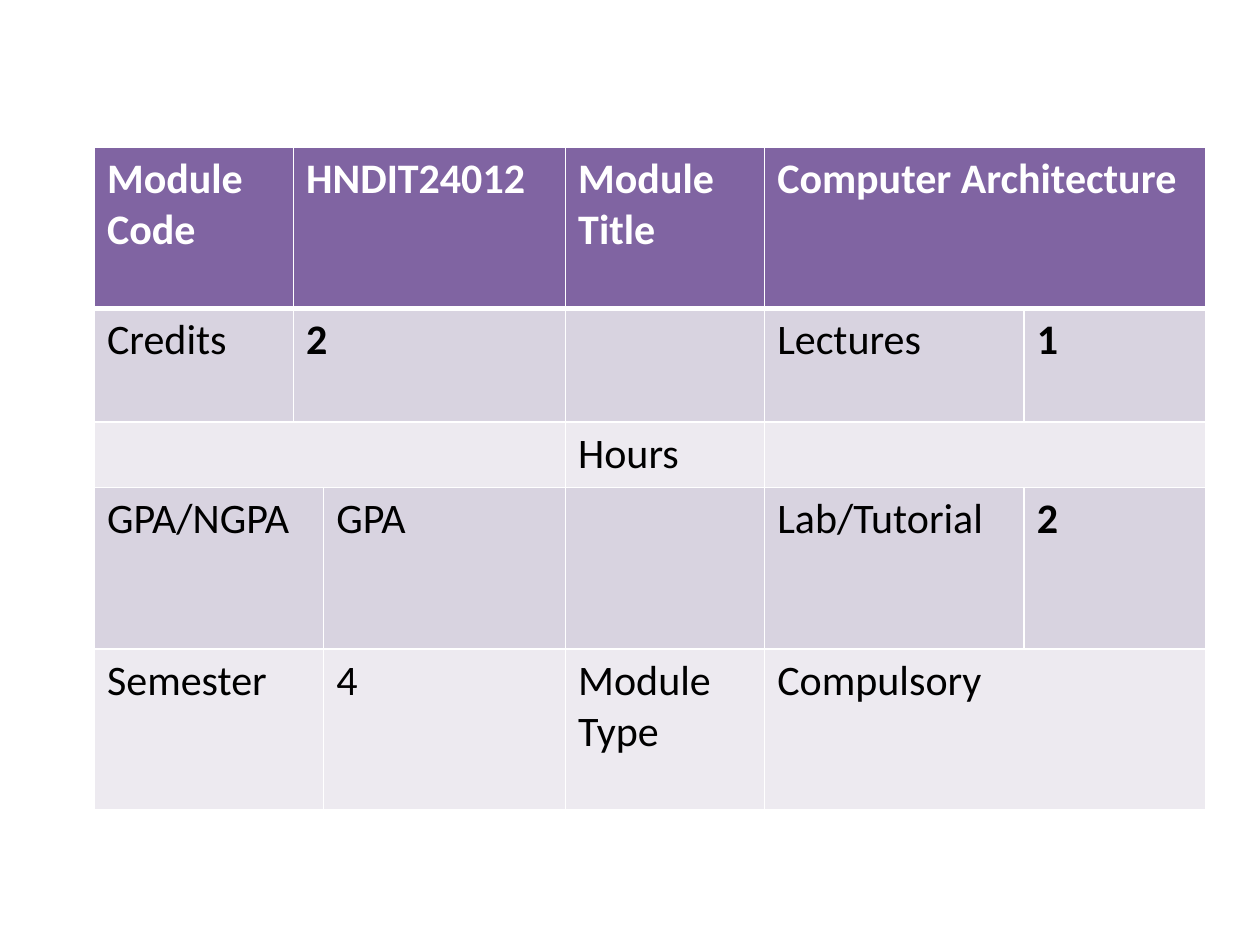
from lxml import etree
from pptx import Presentation, util as u
from pptx.dml.color import RGBColor
from pptx.oxml.ns import qn

# Content: each entry is (text, columns spanned, bold)
ROWS = [
    [("Module Code", 1, True), ("HNDIT24012", 2, True),
     ("Module Title", 1, True), ("Computer Architecture", 2, True)],
    [("Credits", 1, False), ("2", 2, True), ("", 1, False),
     ("Lectures", 1, False), ("1", 1, True)],
    [("", 3, False), ("Hours", 1, False), ("", 2, False)],
    [("GPA/NGPA", 2, False), ("GPA", 1, False), ("", 1, False),
     ("Lab/Tutorial", 1, False), ("2", 1, True)],
    [("Semester", 2, False), ("4", 1, False),
     ("Module Type", 1, False), ("Compulsory", 2, False)],
]
COLUMN_WIDTHS = [1.58, 0.17, 1.92, 1.58, 2.06, 1.44]
ROW_HEIGHTS = [1.28, 0.9, 0.52, 1.28, 1.28]
LEFT, TOP = 0.75, 1.17
HEADER, BANDS = "8064A2", ("EDEAF0", "D8D3E0")
WHITE, BLACK = "FFFFFF", "000000"


def color(value):
    return RGBColor.from_string(value)


def add_borders(cell, row):
    """White grid lines, with a heavier rule below the header."""
    widths = {"a:lnL": 1, "a:lnR": 1,
              "a:lnT": 3 if row == 1 else 1, "a:lnB": 3 if row == 0 else 1}
    properties = cell._tc.get_or_add_tcPr()
    for position, (tag, width) in enumerate(widths.items()):
        line = etree.Element(qn(tag), w=str(u.Pt(width)))
        fill = etree.SubElement(line, qn("a:solidFill"))
        etree.SubElement(fill, qn("a:srgbClr"), val=WHITE)
        properties.insert(position, line)


prs = Presentation()
prs.slide_width, prs.slide_height = u.Inches(10), u.Inches(7.5)
slide = prs.slides.add_slide(prs.slide_layouts[6])

# Table grid
module = slide.shapes.add_table(
    len(ROW_HEIGHTS), len(COLUMN_WIDTHS), u.Inches(LEFT), u.Inches(TOP),
    u.Inches(sum(COLUMN_WIDTHS)), u.Inches(sum(ROW_HEIGHTS))).table
for column, width in zip(module.columns, COLUMN_WIDTHS):
    column.width = u.Inches(width)
for row, height in zip(module.rows, ROW_HEIGHTS):
    row.height = u.Inches(height)

# Fills and borders
for r in range(len(ROW_HEIGHTS)):
    for c in range(len(COLUMN_WIDTHS)):
        cell = module.cell(r, c)
        cell.fill.solid()
        cell.fill.fore_color.rgb = color(BANDS[r % 2] if r else HEADER)
        add_borders(cell, r)

# Merged cells and text
for r, entries in enumerate(ROWS):
    c = 0
    for label, span, bold in entries:
        cell = module.cell(r, c)
        if span > 1:
            cell.merge(module.cell(r, c + span - 1))
        if label:
            run = cell.text_frame.paragraphs[0].add_run()
            run.text = label
            style = {"name": "Calibri", "size": u.Pt(24), "bold": bold}
            for attribute, value in style.items():
                setattr(run.font, attribute, value)
            run.font.color.rgb = color(BLACK if r else WHITE)
        c += span

prs.save("out.pptx")
